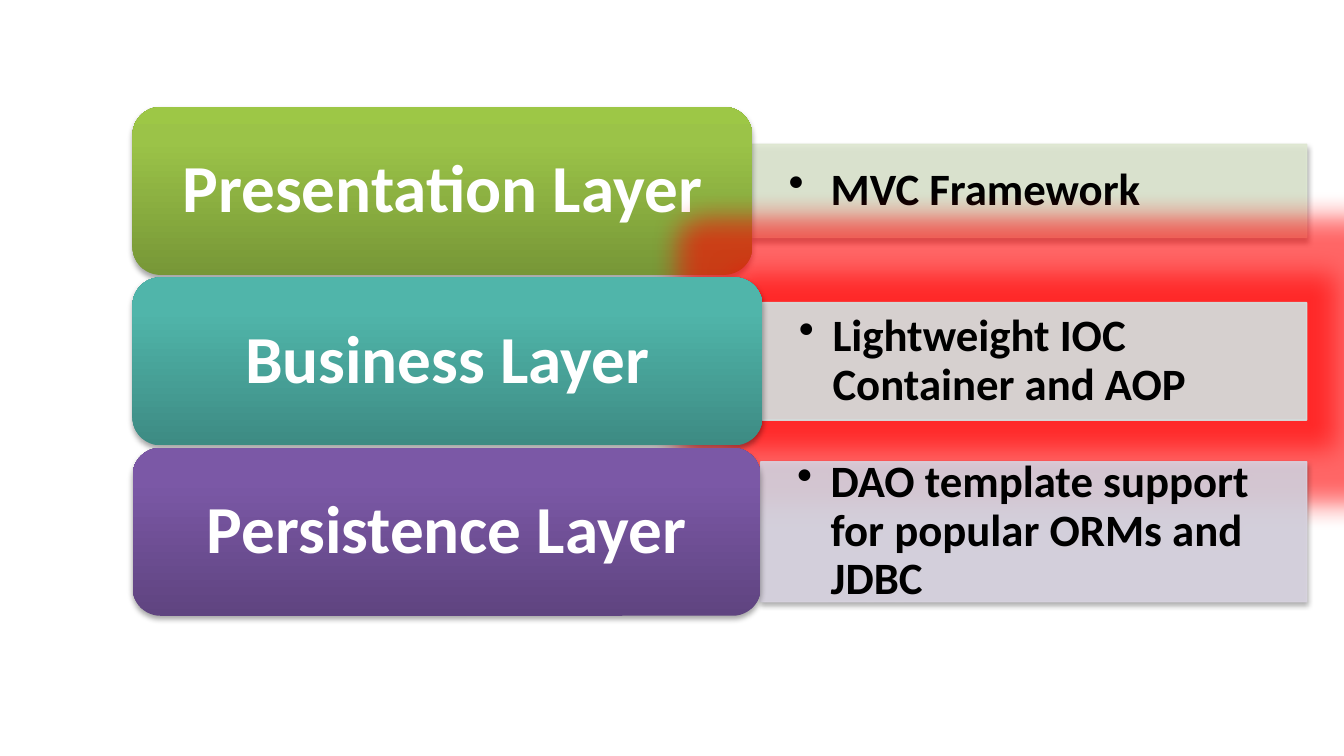
from dataclasses import dataclass

from lxml import etree
from pptx import Presentation
from pptx.dml.color import RGBColor
from pptx.enum import shapes, text
from pptx.oxml import ns
from pptx.util import Pt


@dataclass(frozen=True)
class Theme:
    font: str = "Calibri"
    label_size: int = 36
    detail_size: int = 24
    label_color: str = "FFFFFF"
    detail_color: str = "000000"
    shadow: str = "000000"
    glow: str = "FF0000"
    presentation: tuple = ("779737", "9BC348", "9DC746")
    business: tuple = ("3D8B83", "50B5AA", "4EB8AC")
    persistence: tuple = ("5F4480", "7B58A6", "7C57A8")
    presentation_bar: str = "DEE7D1"
    business_bar: str = "D2E3E2"
    persistence_bar: str = "D8D3E0"


@dataclass(frozen=True)
class Layer:
    label: str
    detail: str
    gradient: tuple
    bar_color: str
    label_width: float
    bar_height: float
    indent: float = 18
    glowing: bool = False


THEME = Theme()
LABEL_LEFT = 71
LABEL_HEIGHT = 90
BAR_RIGHT = 700
FIRST_CENTER = 102.3
ROW_PITCH = 91.3

LAYERS = (
    Layer("Presentation Layer", "MVC Framework", THEME.presentation,
          THEME.presentation_bar, 332, 50, indent=22.5),
    Layer("Business Layer", "Lightweight IOC Container and AOP", THEME.business,
          THEME.business_bar, 337.5, 63, glowing=True),
    Layer("Persistence Layer", "DAO template support for popular ORMs and JDBC",
          THEME.persistence, THEME.persistence_bar, 336.5, 75),
)


def add_child(parent, tag, **attributes):
    child = etree.SubElement(parent, ns.qn(tag))
    for key, value in attributes.items():
        child.set(key, str(value))
    return child


def add_color(parent, color, opacity=100):
    value = add_child(parent, "a:srgbClr", val=color)
    if opacity < 100:
        add_child(value, "a:alpha", val=opacity * 1000)


def add_effect(block, tag, color, opacity, **attributes):
    block.shadow.inherit = False
    effects = block._element.spPr.find(ns.qn("a:effectLst"))
    add_color(add_child(effects, tag, **attributes), color, opacity)


def add_shadow(block):
    add_effect(block, "a:outerShdw", THEME.shadow, 35, blurRad=Pt(3.1),
               dist=Pt(1.8), dir=5400000, rotWithShape=0)


def add_glow(block):
    add_effect(block, "a:glow", THEME.glow, 60, rad=Pt(30))


def add_block(slide, kind, left, center, width, height):
    return slide.shapes.add_shape(
        kind, Pt(left), Pt(center - height / 2), Pt(width), Pt(height))


def write(block, wording, size, color, align, inset_x, inset_y):
    frame = block.text_frame
    frame.text = wording
    frame.word_wrap = True
    frame.vertical_anchor = text.MSO_ANCHOR.MIDDLE
    frame.margin_left = frame.margin_right = Pt(inset_x)
    frame.margin_top = frame.margin_bottom = Pt(inset_y)
    paragraph = frame.paragraphs[0]
    paragraph.alignment = align
    paragraph.line_spacing = 0.9
    font = paragraph.runs[0].font
    font.name, font.size, font.bold = THEME.font, Pt(size), True
    font.color.rgb = RGBColor.from_string(color)
    return paragraph


def add_bullet(paragraph, indent):
    properties = paragraph._p.get_or_add_pPr()
    properties.set("marL", str(Pt(indent)))
    properties.set("indent", str(-Pt(indent)))
    add_child(properties, "a:buChar", char="•")


def add_bar(slide, layer, center):
    left = LABEL_LEFT + layer.label_width
    bar = add_block(slide, shapes.MSO_SHAPE.RECTANGLE, left, center,
                    BAR_RIGHT - left, layer.bar_height)
    bar.line.width = Pt(0.75)
    for fill in (bar.fill, bar.line.fill):
        fill.solid()
        fill.fore_color.rgb = RGBColor.from_string(layer.bar_color)
    for color in bar._element.spPr.iter(ns.qn("a:srgbClr")):
        add_child(color, "a:alpha", val=90000)
    if layer.glowing:
        add_glow(bar)
    else:
        add_shadow(bar)
    detail = write(bar, layer.detail, THEME.detail_size, THEME.detail_color,
                   text.PP_ALIGN.LEFT, 19.5, 10)
    add_bullet(detail, layer.indent)


def add_label(slide, layer, center):
    label = add_block(slide, shapes.MSO_SHAPE.ROUNDED_RECTANGLE, LABEL_LEFT,
                      center, layer.label_width, LABEL_HEIGHT)
    label.fill.gradient()
    label.fill.gradient_angle = 90
    stops = label._element.spPr.find(".//" + ns.qn("a:gsLst"))
    stops[:] = []
    for position, color in zip((0, 80, 100), layer.gradient):
        add_color(add_child(stops, "a:gs", pos=position * 1000), color)
    label.line.fill.background()
    add_shadow(label)
    write(label, layer.label, THEME.label_size, THEME.label_color,
          text.PP_ALIGN.CENTER, 11, 5)


def main():
    deck = Presentation()
    deck.slide_width, deck.slide_height = Pt(720), Pt(405)
    slide = deck.slides.add_slide(deck.slide_layouts[6])
    for row, layer in enumerate(LAYERS):
        center = FIRST_CENTER + row * ROW_PITCH
        add_bar(slide, layer, center)
        add_label(slide, layer, center)
    deck.save("out.pptx")


if __name__ == "__main__":
    main()
